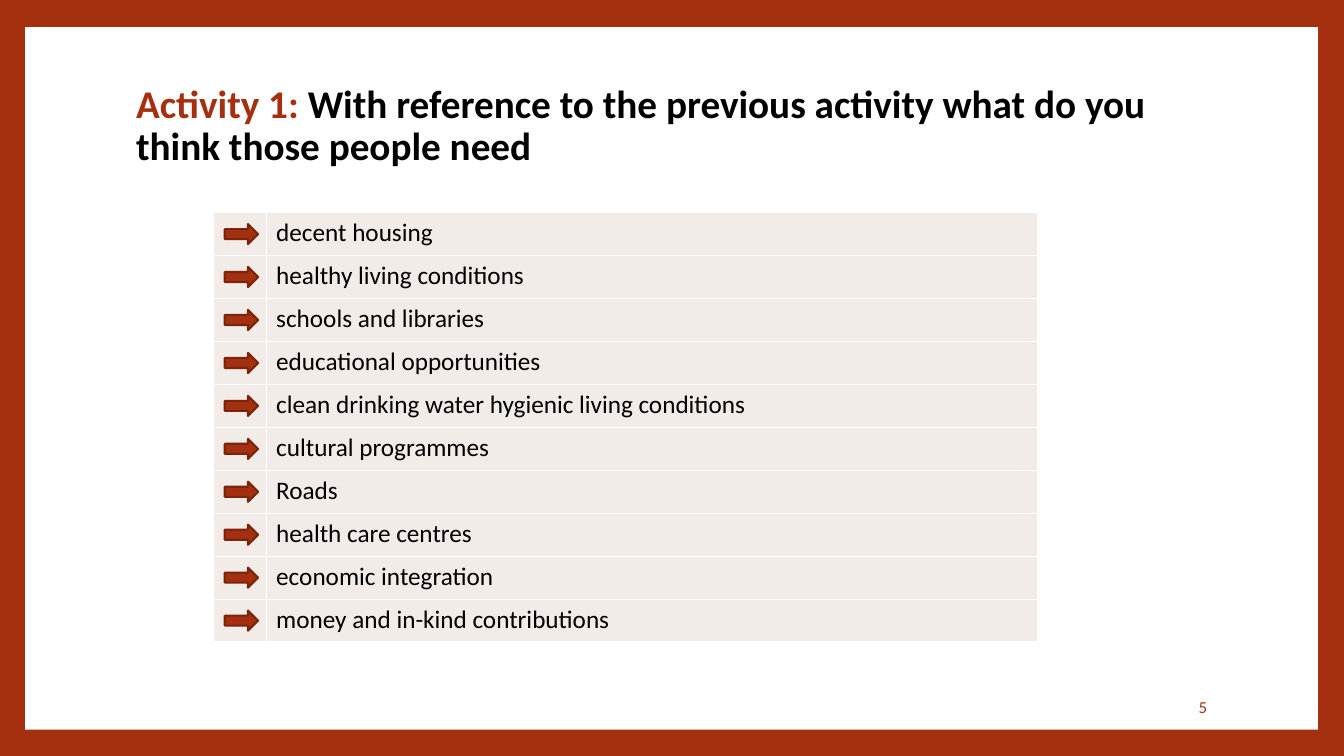
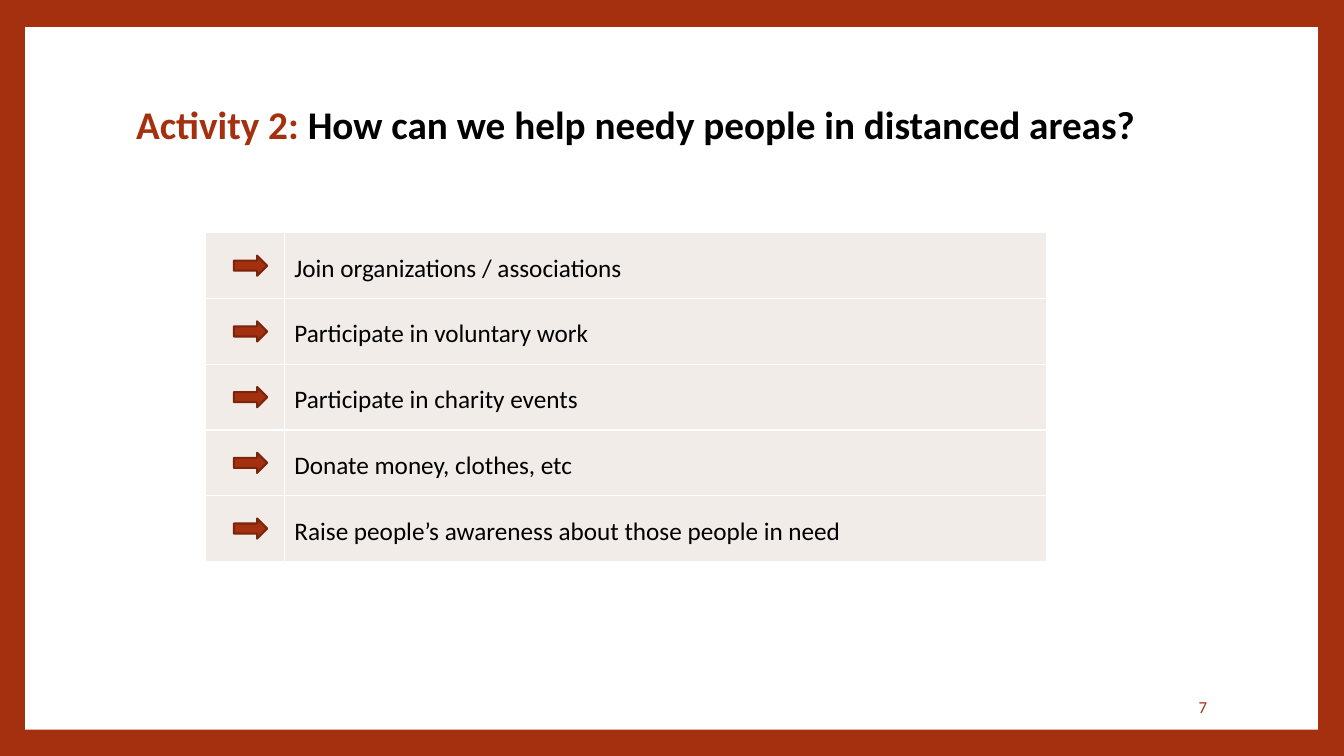
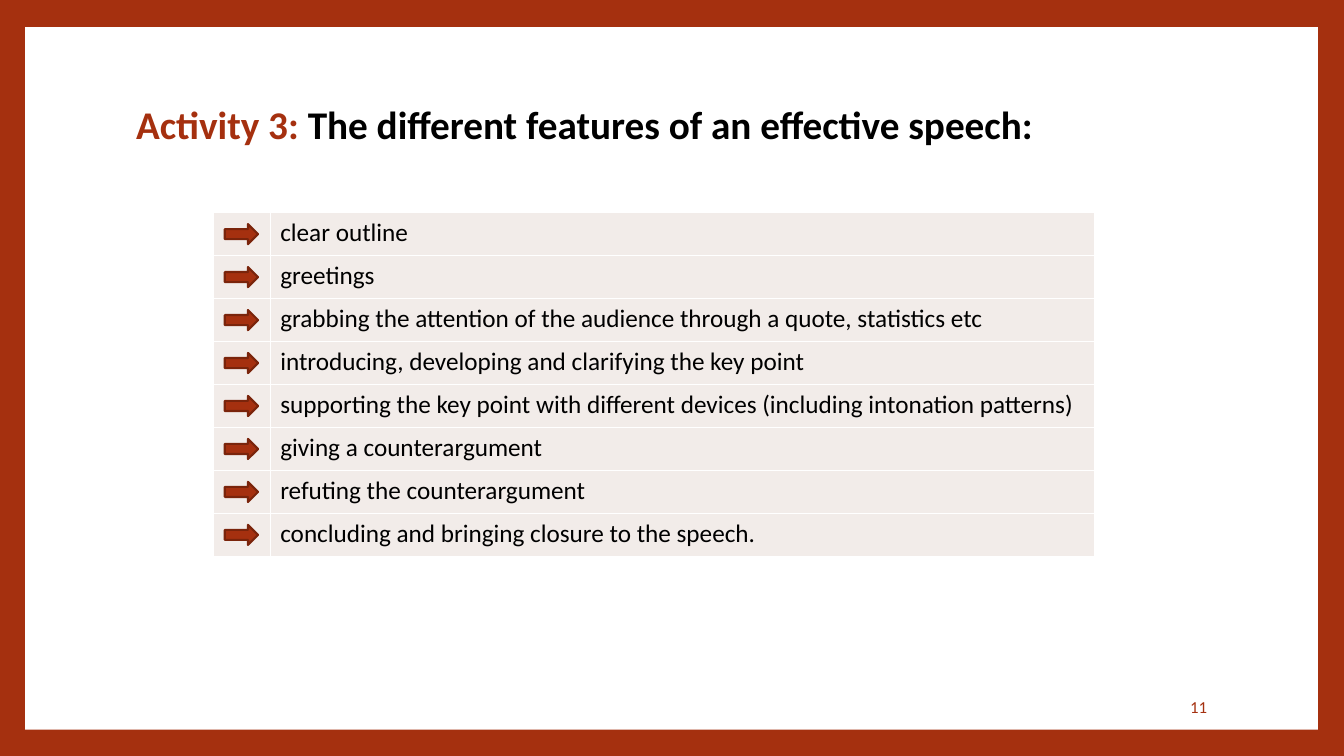
from dataclasses import dataclass

from lxml.etree import SubElement
from pptx import Presentation
from pptx.dml.color import RGBColor
from pptx.enum.shapes import MSO_SHAPE
from pptx.enum.text import MSO_ANCHOR, MSO_AUTO_SIZE, PP_ALIGN
from pptx.oxml.ns import qn
from pptx.util import Inches, Pt

RUST = "A5300F"
DARK_RUST = "7A240B"
CREAM = "F2ECE9"
WHITE = "FFFFFF"
BLACK = "000000"
FONT = "Calibri"
ARROW_WIDTH = 0.33
ARROW_HEIGHT = 0.2


@dataclass(frozen=True)
class Activity:
    label: str
    question: str
    page: int
    answers: tuple[str, ...]
    left: float
    top: float
    arrow_column: float
    answer_column: float
    row_height: float
    arrow_left: float
    line_spacing: float = 1.0


ACTIVITIES = (
    Activity(
        "Activity 1: ",
        "With reference to the previous activity what do you think those people need",
        5,
        (
            "decent housing",
            "healthy living conditions",
            "schools and libraries",
            "educational opportunities",
            "clean drinking water hygienic living conditions",
            "cultural programmes",
            "Roads",
            "health care centres",
            "economic integration",
            "money and in-kind contributions",
        ),
        left=2.12, top=2.11, arrow_column=0.52, answer_column=7.65,
        row_height=4.26 / 10, arrow_left=2.23,
    ),
    Activity(
        "Activity 2: ",
        "How can we help needy people in distanced areas?",
        7,
        (
            "Join organizations / associations",
            "Participate in voluntary work",
            "Participate in charity events",
            "Donate money, clothes, etc",
            "Raise people’s awareness about those people in need",
        ),
        left=2.04, top=2.31, arrow_column=0.78, answer_column=7.56,
        row_height=3.26 / 5, arrow_left=2.32, line_spacing=1.5,
    ),
    Activity(
        "Activity 3: ",
        "The different features of an effective speech:",
        11,
        (
            "clear outline",
            "greetings",
            "grabbing the attention of the audience through a quote, statistics etc",
            "introducing, developing and clarifying the key point",
            "supporting the key point with different devices (including intonation patterns)",
            "giving a counterargument",
            "refuting the counterargument",
            "concluding and bringing closure to the speech.",
        ),
        left=2.12, top=2.11, arrow_column=0.56, answer_column=8.18,
        row_height=3.41 / 8, arrow_left=2.23,
    ),
)


def paint(fill, color: str) -> None:
    fill.solid()
    fill.fore_color.rgb = RGBColor.from_string(color)


def write(paragraph, text: str, *, size: float = 18, color: str = BLACK,
          bold: bool = False) -> None:
    run = paragraph.add_run()
    run.text = text
    run.font.name = FONT
    run.font.size = Pt(size)
    run.font.bold = bold
    run.font.color.rgb = RGBColor.from_string(color)


def add_block(slide, preset: MSO_SHAPE, left: float, top: float, width: float,
              height: float, color: str, outline: str | None = None):
    block = slide.shapes.add_shape(
        preset, Inches(left), Inches(top), Inches(width), Inches(height))
    block.shadow.inherit = False
    paint(block.fill, color)
    if outline:
        paint(block.line.fill, outline)
        block.line.width = Pt(1.5)
    else:
        block.line.fill.background()
    return block


def style_layout(layout, slide) -> None:
    paint(layout.background.fill, RUST)
    panel = add_block(slide, MSO_SHAPE.RECTANGLE, 0.25, 0.27, 12.82, 6.97, WHITE)
    layout.shapes.element.insert(2, panel.element)
    title = layout.placeholders[0]
    title.left, title.top = Inches(1.25), Inches(0.67)
    title.width, title.height = Inches(10.8), Inches(1.18)


def add_title(slide, activity: Activity) -> None:
    frame = slide.shapes.title.text_frame
    frame.auto_size = MSO_AUTO_SIZE.NONE
    frame.vertical_anchor = MSO_ANCHOR.MIDDLE
    heading = frame.paragraphs[0]
    heading.alignment = PP_ALIGN.LEFT
    heading.line_spacing = 0.9
    write(heading, activity.label, size=28, color=RUST, bold=True)
    write(heading, activity.question, size=28, bold=True)


def add_page_number(slide, page: int) -> None:
    footer = slide.shapes.add_textbox(
        Inches(10.2), Inches(6.81), Inches(1.87), Inches(0.4))
    frame = footer.text_frame
    frame.word_wrap = True
    frame.vertical_anchor = MSO_ANCHOR.MIDDLE
    frame.paragraphs[0].alignment = PP_ALIGN.RIGHT
    write(frame.paragraphs[0], str(page), size=12, color=RUST)


def style_cell(cell) -> None:
    properties = cell._tc.get_or_add_tcPr()
    for side in ("a:lnL", "a:lnR", "a:lnT", "a:lnB"):
        border = SubElement(properties, qn(side), w=str(Pt(1)))
        SubElement(SubElement(border, qn("a:solidFill")), qn("a:srgbClr"), val=WHITE)
    paint(cell.fill, CREAM)


def add_answers(slide, activity: Activity) -> None:
    count = len(activity.answers)
    table = slide.shapes.add_table(
        count, 2, Inches(activity.left), Inches(activity.top),
        Inches(activity.arrow_column + activity.answer_column),
        Inches(activity.row_height * count)).table
    table.first_row = False
    table.horz_banding = False
    table.columns[0].width = Inches(activity.arrow_column)
    table.columns[1].width = Inches(activity.answer_column)
    arrow_top = activity.top + (activity.row_height - ARROW_HEIGHT) / 2
    for index, answer in enumerate(activity.answers):
        for cell in table.rows[index].cells:
            style_cell(cell)
        paragraph = table.cell(index, 1).text_frame.paragraphs[0]
        paragraph.line_spacing = activity.line_spacing
        write(paragraph, answer)
        add_block(slide, MSO_SHAPE.RIGHT_ARROW, activity.arrow_left,
                  arrow_top + index * activity.row_height,
                  ARROW_WIDTH, ARROW_HEIGHT, RUST, DARK_RUST)


def main() -> None:
    deck = Presentation()
    deck.slide_width, deck.slide_height = Inches(13.33), Inches(7.5)
    layout = deck.slide_layouts[5]
    slides = [deck.slides.add_slide(layout) for _ in ACTIVITIES]
    style_layout(layout, slides[0])
    for slide, activity in zip(slides, ACTIVITIES):
        add_title(slide, activity)
        add_answers(slide, activity)
        add_page_number(slide, activity.page)
    deck.save("out.pptx")


if __name__ == "__main__":
    main()
